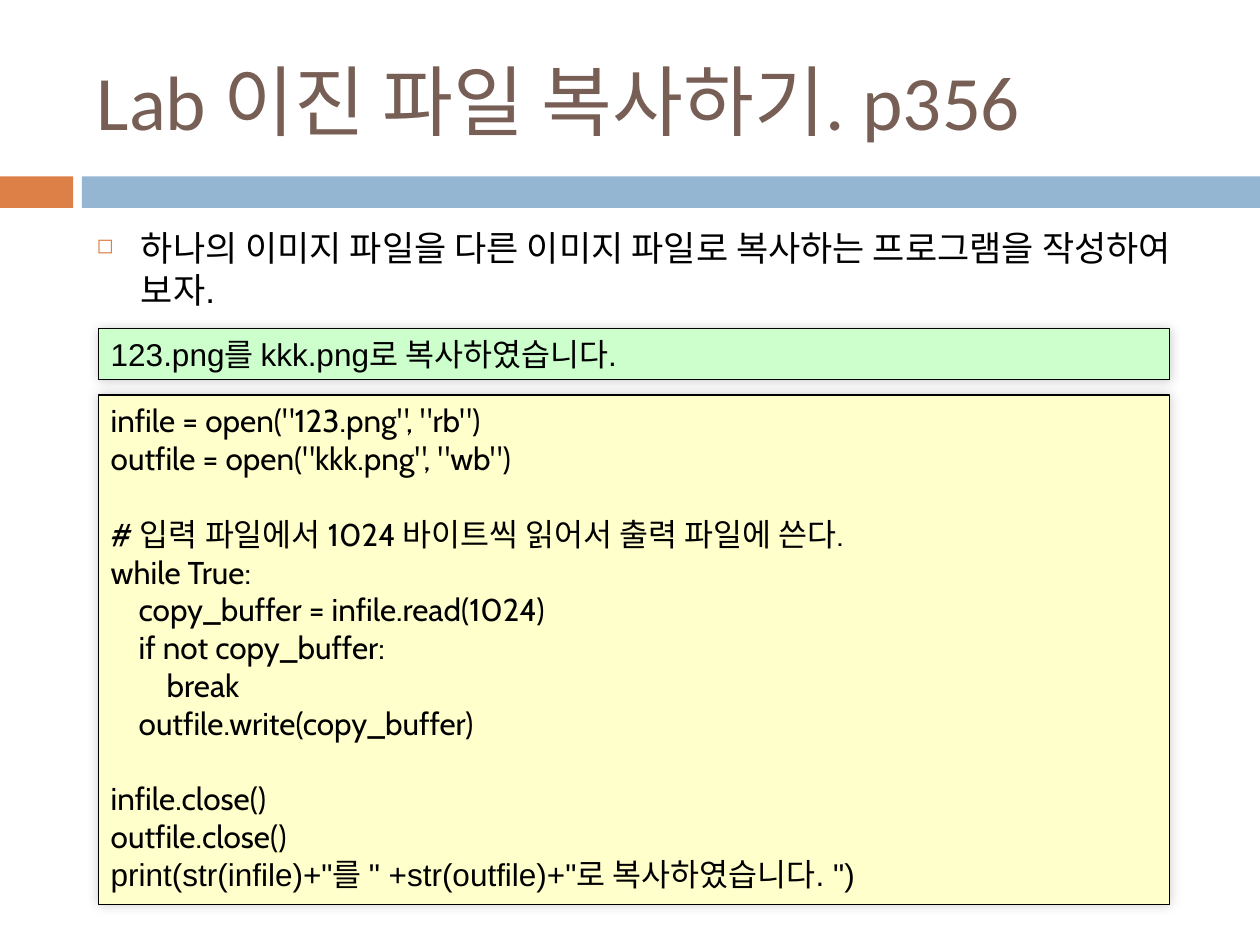
from lxml import etree
from pptx import Presentation
from pptx.dml.color import RGBColor
from pptx.enum.shapes import MSO_SHAPE
from pptx.enum.text import MSO_ANCHOR, PP_ALIGN
from pptx.oxml.ns import qn
from pptx.util import Pt

RECT = MSO_SHAPE.RECTANGLE
LEFT = PP_ALIGN.LEFT
TOP, MIDDLE = MSO_ANCHOR.TOP, MSO_ANCHOR.MIDDLE

COLORS = {"orange": "DD8047", "blue": "94B6D2", "brown": "775F55",
          "black": "000000", "green": "CCFFCC", "yellow": "FFFFCC"}

# Content: each line is (indent level, blank lines before, font, text)
TITLE = [(0, 0, "Calibri", "Lab 이진 파일 복사하기. p356")]
TASK = [(0, 0, "Arial", "하나의 이미지 파일을 다른 이미지 파일로 복사하는 프로그램을 작성하여 보자.")]
OUTPUT = [(0, 0, "Arial", "123.png를 kkk.png로 복사하였습니다.")]
CODE = [
    (0, 0, "Cabin", 'infile = open("123.png", "rb")'),
    (0, 0, "Cabin", 'outfile = open("kkk.png", "wb")'),
    (0, 1, "Cabin", "# 입력 파일에서 1024 바이트씩 읽어서 출력 파일에 쓴다."),
    (0, 0, "Cabin", "while True:"),
    (1, 0, "Cabin", "copy_buffer = infile.read(1024)"),
    (1, 0, "Cabin", "if not copy_buffer:"),
    (2, 0, "Cabin", "break"),
    (1, 0, "Cabin", "outfile.write(copy_buffer)"),
    (0, 1, "Cabin", "infile.close()"),
    (0, 0, "Cabin", "outfile.close()"),
    (0, 0, "Arial", 'print(str(infile)+"를 " +str(outfile)+"로 복사하였습니다. ")'),
]

# Layout in points: left, top, width, height
BANDS = [("orange", (0, 100.8, 41.8, 18)), ("blue", (46.8, 100.8, 673.2, 18))]
TITLE_AT = (48.2, 18, 642.2, 77.8)
TASK_AT = (48.2, 126, 642.2, 354)
PANELS = [("green", OUTPUT, (56.2, 187.7, 612, 29.1)),
          ("yellow", CODE, (56.2, 225.8, 612, 291))]
INDENT, CODE_LINE, BULLET_INDENT = 16, 21.6, 25.2


def color(name):
    return RGBColor.from_string(COLORS[name])


def set_attributes(target, values):
    for name, value in values.items():
        setattr(target, name, value)


def write(shape, lines, size, ink="black", anchor=TOP):
    frame = shape.text_frame
    set_attributes(frame, {"word_wrap": True, "vertical_anchor": anchor})
    for i, (level, blanks, font, text) in enumerate(lines):
        line = frame.add_paragraph() if i else frame.paragraphs[0]
        set_attributes(line, {"alignment": LEFT,
                              "space_before": Pt(blanks * CODE_LINE)})
        if level:
            line._p.get_or_add_pPr().set("marL", str(Pt(level * INDENT)))
        run = line.add_run()
        run.text = text
        set_attributes(run.font, {"name": font, "size": Pt(size)})
        run.font.color.rgb = color(ink)
    return frame


def add_block(fill, at):
    block = slide.shapes.add_shape(RECT, *map(Pt, at))
    block.shadow.inherit = False
    block.fill.solid()
    block.fill.fore_color.rgb = color(fill)
    block.line.fill.background()
    return block


def add_soft_shadow(block):
    effects = block._element.spPr.find(qn("a:effectLst"))
    shadow = etree.SubElement(effects, qn("a:outerShdw"), blurRad=str(Pt(6)),
                              dist="0", dir="18900000")
    ink = etree.SubElement(shadow, qn("a:srgbClr"), val=COLORS["black"])
    etree.SubElement(ink, qn("a:alpha"), val="20000")


def add_bullet(line):
    line.space_before = Pt(7)
    props = line._p.get_or_add_pPr()
    props.set("marL", str(Pt(BULLET_INDENT)))
    props.set("indent", str(-Pt(BULLET_INDENT)))
    ink = etree.SubElement(props, qn("a:buClr"))
    etree.SubElement(ink, qn("a:srgbClr"), val=COLORS["orange"])
    etree.SubElement(props, qn("a:buSzPct"), val="60000")
    etree.SubElement(props, qn("a:buChar"), char="◻")


deck = Presentation()
set_attributes(deck, {"slide_width": Pt(720), "slide_height": Pt(540)})
slide = deck.slides.add_slide(deck.slide_layouts[6])

# Divider bands
for fill, at in BANDS:
    add_block(fill, at)

# Title and task
title = slide.shapes.add_textbox(*map(Pt, TITLE_AT))
write(title, TITLE, 44, "brown", MIDDLE)
task = slide.shapes.add_textbox(*map(Pt, TASK_AT))
add_bullet(write(task, TASK, 20).paragraphs[0])

# Program output and code panels
for fill, lines, at in PANELS:
    panel = add_block(fill, at)
    panel.line.color.rgb = color("black")
    panel.line.width = Pt(0.75)
    add_soft_shadow(panel)
    write(panel, lines, 18)

deck.save("out.pptx")
